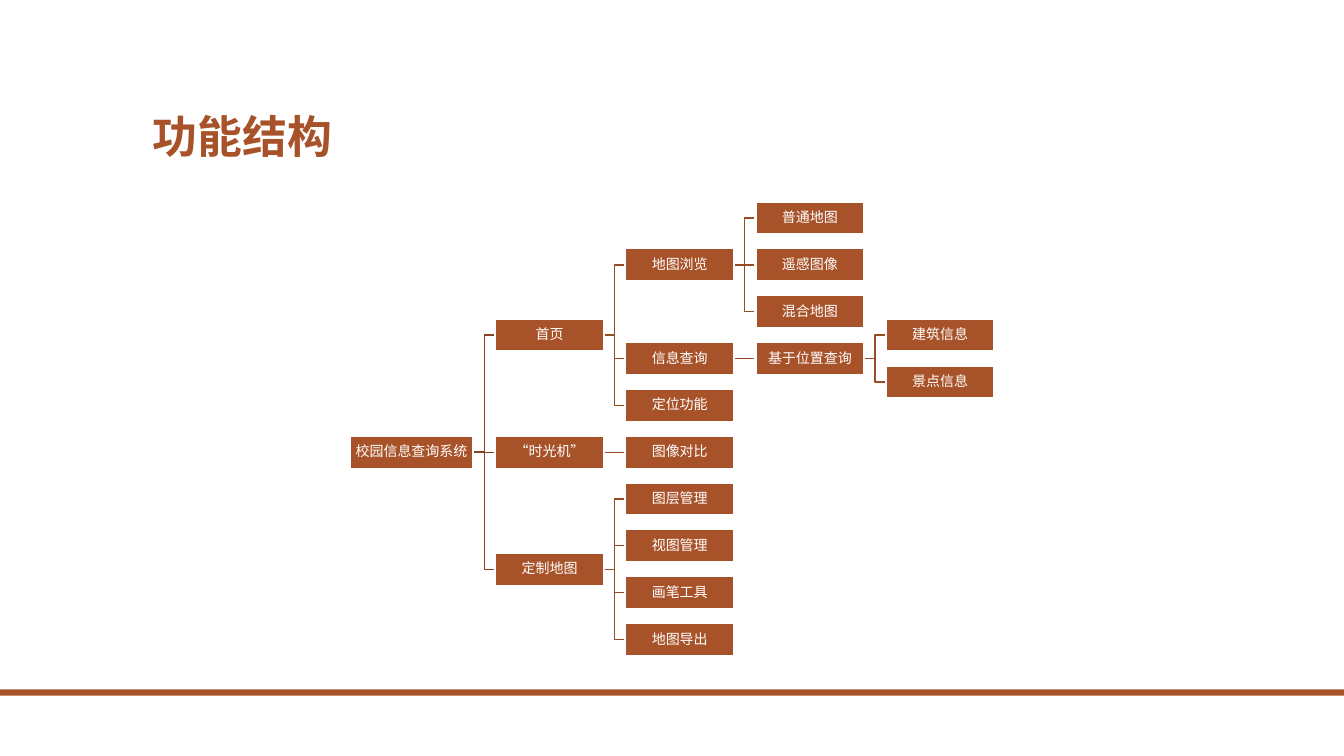
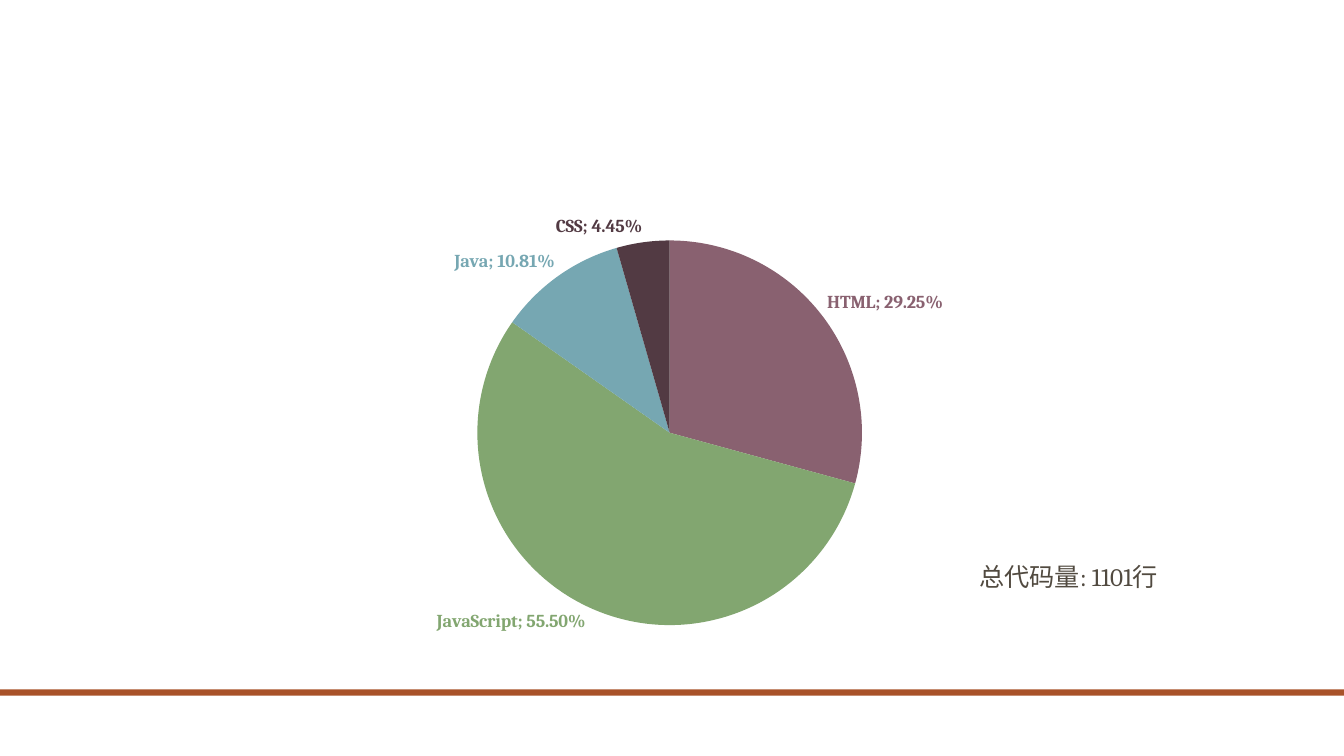
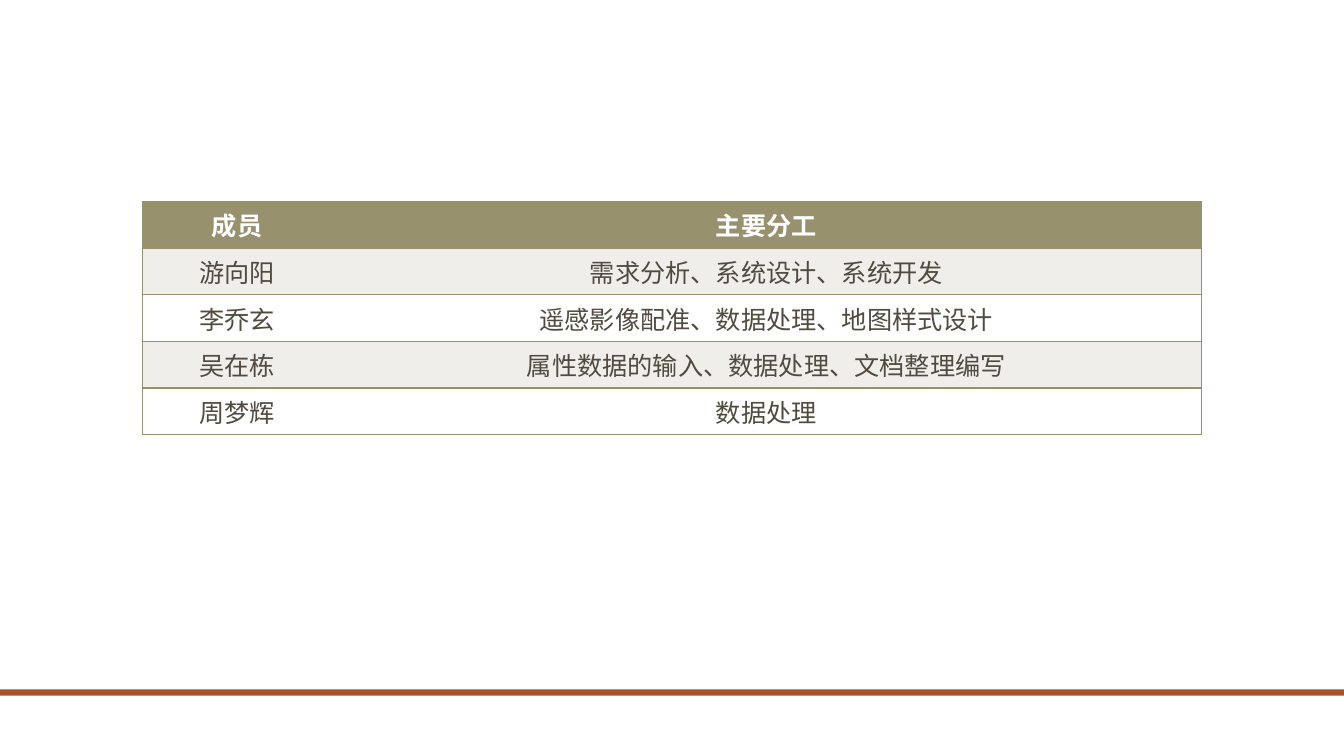
from lxml import etree
from pptx import Presentation
from pptx.chart.data import CategoryChartData
from pptx.dml.color import RGBColor
from pptx.enum.chart import XL_CHART_TYPE, XL_LABEL_POSITION
from pptx.enum.shapes import MSO_CONNECTOR, MSO_SHAPE
from pptx.enum.text import MSO_ANCHOR, MSO_AUTO_SIZE, PP_ALIGN
from pptx.oxml import parse_xml
from pptx.oxml.ns import nsdecls, qn
from pptx.util import Cm, Pt

FONT = "Cambria"
RUST, INK, WHITE = "A85229", "514A40", "FFFFFF"
OLIVE, BAND = "98916E", "EFEEEB"
ROOT_LINE, BRANCH_LINE = "874221", "984A25"
LEFT, TOP, WIDTH = 3.6, 5.08, 26.67
TITLE_ONLY, BLANK = 5, 6
NO_TABLE_STYLE = "{2D5ABB26-0587-4C30-8999-92F81FD0307C}"

# A node is (text, children); a leaf has its row number instead of children.
TREE = ("校园信息查询系统", [
    ("首页", [
        ("地图浏览", [("普通地图", 0), ("遥感图像", 1), ("混合地图", 2)]),
        ("信息查询", [("基于位置查询", [("建筑信息", 2.5), ("景点信息", 3.5)])]),
        ("定位功能", 4),
    ]),
    ("“时光机”", [("图像对比", 5)]),
    ("定制地图", [("图层管理", 6), ("视图管理", 7), ("画笔工具", 8), ("地图导出", 9)]),
])
ROOT_LEFT, ROOT_W = 8.81, 3.12
BRANCH_LEFT, BRANCH_W, BRANCH_PITCH = 12.48, 2.74, 3.28
BOX_H, ROW_PITCH = 0.83, 1.18

CODE_SHARES = [
    ("HTML", 0.2925, "896170"),
    ("JavaScript", 0.555, "82A670"),
    ("Java", 0.1081, "76A7B2"),
    ("CSS", 0.0445, "523A43"),
]
CODE_TOTAL = "总代码量: 1101行"

MEMBERS = [
    ("成员", "主要分工"),
    ("游向阳", "需求分析、系统设计、系统开发"),
    ("李乔玄", "遥感影像配准、数据处理、地图样式设计"),
    ("吴在栋", "属性数据的输入、数据处理、文档整理编写"),
    ("周梦辉", "数据处理"),
]
MEMBER_COLS = (4.75, 21.92)
MEMBER_ROW_H = 1.03


def rgb(color):
    return RGBColor.from_string(color)


def style_font(font, size, color, bold=False):
    font.name, font.size, font.bold = FONT, Pt(size), bold
    font.color.rgb = rgb(color)


def write(tf, text, size, color, bold=False, align=None, spacing=None):
    tf.text = text
    p = tf.paragraphs[0]
    p.alignment, p.line_spacing = align, spacing
    style_font(p.runs[0].font, size, color, bold)


def add_rect(s, left, top, width, height):
    sp = s.shapes.add_shape(MSO_SHAPE.RECTANGLE, Cm(left), Cm(top), Cm(width), Cm(height))
    sp.shadow.inherit = False
    sp.fill.solid()
    sp.fill.fore_color.rgb = rgb(RUST)
    sp.line.fill.background()
    return sp


def new_slide(prs, layout):
    """Add a slide with the shared bar near its foot."""
    s = prs.slides.add_slide(prs.slide_layouts[layout])
    add_rect(s, 0, 17.37, 33.87, 0.16)
    return s


def row_of(node):
    """Row of a leaf, or the middle of a parent's first and last child."""
    below = node[1]
    if not isinstance(below, list):
        return below
    return (row_of(below[0]) + row_of(below[-1])) / 2


def add_node(s, node, level=0):
    """Draw a node and its subtree; return all boxes, its own first."""
    left = BRANCH_LEFT + (level - 1) * BRANCH_PITCH if level else ROOT_LEFT
    box = add_rect(s, left, TOP + row_of(node) * ROW_PITCH,
                   BRANCH_W if level else ROOT_W, BOX_H)
    box.line.color.rgb = rgb(WHITE)
    box.line.width = Pt(1.5)
    tf = box.text_frame
    tf.margin_left = tf.margin_right = tf.margin_top = tf.margin_bottom = Cm(0.02)
    tf.vertical_anchor = MSO_ANCHOR.MIDDLE
    write(tf, node[0], 10, WHITE, align=PP_ALIGN.CENTER, spacing=0.9)

    boxes = [box]
    for child in node[1] if isinstance(node[1], list) else []:
        subtree = add_node(s, child, level + 1)
        link(s, box, subtree[0], BRANCH_LINE if level else ROOT_LINE)
        boxes += subtree
    return boxes


def link(s, parent, child, color):
    level_line = abs(parent.top - child.top) < Cm(0.01)
    kind = MSO_CONNECTOR.STRAIGHT if level_line else MSO_CONNECTOR.ELBOW
    line = s.shapes.add_connector(kind, 0, 0, 0, 0)
    line.begin_connect(parent, 3)
    line.end_connect(child, 1)
    line.line.color.rgb = rgb(color)
    line.line.width = Pt(1)
    etree.SubElement(line.element.spPr, qn("a:effectLst"))
    # Behind the boxes, so that their white outlines cover the line ends.
    s.shapes[0].element.addprevious(line.element)


def structure_slide(prs):
    s = new_slide(prs, TITLE_ONLY)
    title = s.shapes.title
    title.left, title.top, title.width, title.height = Cm(LEFT), Cm(1.07), Cm(WIDTH), Cm(3.17)
    title.text_frame.vertical_anchor = MSO_ANCHOR.BOTTOM
    write(title.text_frame, "功能结构", 32, RUST, True, PP_ALIGN.LEFT, 0.9)
    add_node(s, TREE)


def code_slide(prs):
    s = new_slide(prs, BLANK)
    data = CategoryChartData(number_format="0.00%")
    data.categories = [name for name, _, _ in CODE_SHARES]
    data.add_series("Series 1", [share for _, share, _ in CODE_SHARES])
    chart = s.shapes.add_chart(XL_CHART_TYPE.PIE, Cm(LEFT), Cm(TOP), Cm(WIDTH), Cm(11.43), data).chart
    chart.has_title = chart.has_legend = False
    style_font(chart.font, 10, INK)
    plot = chart.plots[0]
    plot.vary_by_categories = True
    for i, (_, _, color) in enumerate(CODE_SHARES):
        point = plot.series[0].points[i]
        point.format.fill.solid()
        point.format.fill.fore_color.rgb = rgb(color)
        style_font(point.data_label.font, 13, color, True)
        point.data_label.position = XL_LABEL_POSITION.OUTSIDE_END
    for show in chart.element.xpath(".//c:dLbl/c:showCatName"):
        show.set("val", "1")

    note = s.shapes.add_textbox(Cm(24.43), Cm(14.02), Cm(5.46), Cm(1.02))
    note.text_frame.auto_size = MSO_AUTO_SIZE.SHAPE_TO_FIT_TEXT
    write(note.text_frame, CODE_TOTAL, 18, INK)


def add_borders(cell, sides):
    for side in sides:
        cell._tc.get_or_add_tcPr().append(parse_xml(
            f'<a:ln{side} {nsdecls("a")} w="12700"><a:solidFill>'
            f'<a:srgbClr val="{OLIVE}"/></a:solidFill></a:ln{side}>'))


def members_slide(prs):
    s = new_slide(prs, BLANK)
    frame = s.shapes.add_table(len(MEMBERS), len(MEMBER_COLS), Cm(LEFT), Cm(TOP),
                               Cm(WIDTH), Cm(MEMBER_ROW_H * len(MEMBERS)))
    frame.element.xpath(".//a:tableStyleId")[0].text = NO_TABLE_STYLE
    table = frame.table
    for col, width in zip(table.columns, MEMBER_COLS):
        col.width = Cm(width)
    for r, texts in enumerate(MEMBERS):
        header = r == 0
        fill = OLIVE if header else BAND if r % 2 else WHITE
        for c, text in enumerate(texts):
            cell = table.cell(r, c)
            add_borders(cell, "RTB" if c else "LTB")
            cell.fill.solid()
            cell.fill.fore_color.rgb = rgb(fill)
            write(cell.text_frame, text, 18, WHITE if header else INK, header, PP_ALIGN.CENTER)


def main():
    prs = Presentation()
    prs.slide_width, prs.slide_height = Cm(33.87), Cm(19.05)
    structure_slide(prs)
    code_slide(prs)
    members_slide(prs)
    prs.save("out.pptx")


if __name__ == "__main__":
    main()
